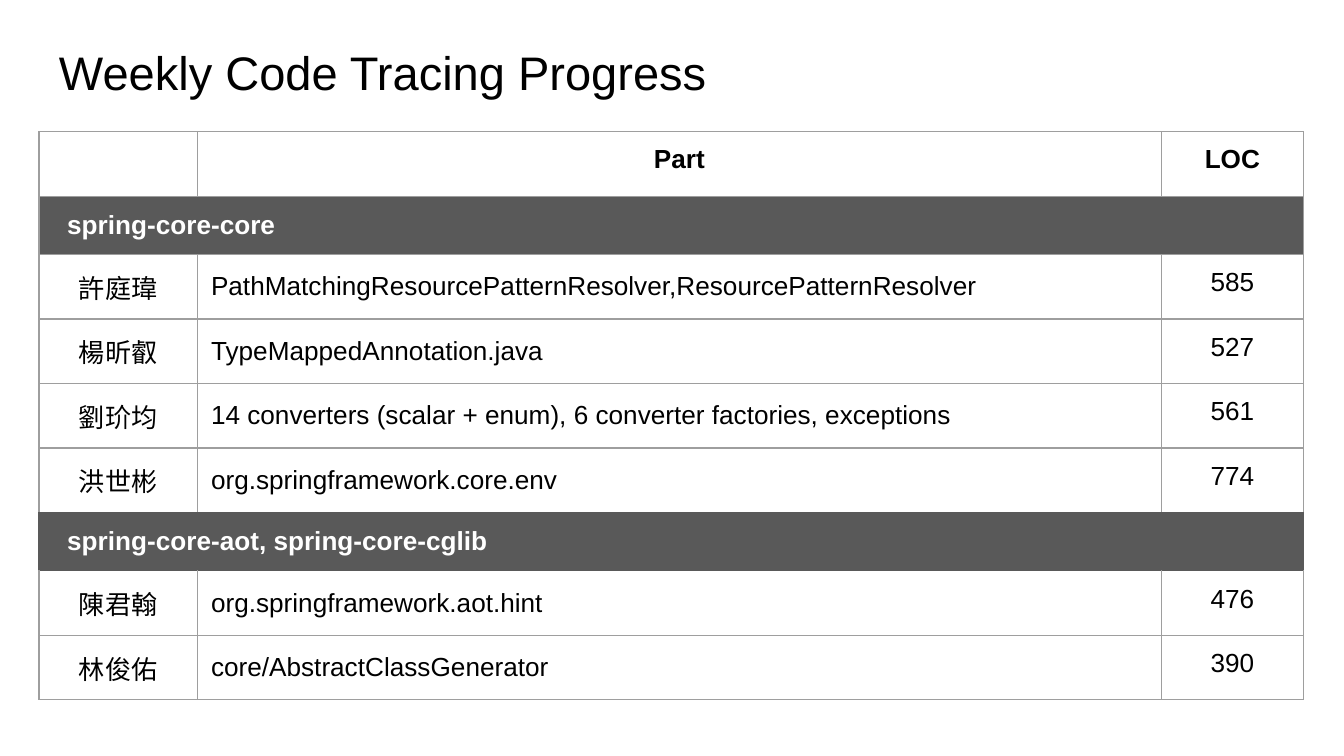
from lxml import etree
from pptx import Presentation
from pptx.dml.color import RGBColor
from pptx.enum import text
from pptx.oxml.ns import qn
from pptx.util import Inches, Pt

GRAY, DARK, BLACK, WHITE = "9E9E9E", "595959", "000000", "FFFFFF"
COLUMNS = (1.18, 7.17, 1.06)
ROW_HEIGHT, SECTION_HEIGHT = 0.48, 0.42
HEADER = ("", "Part", "LOC")
SECTIONS = (
    ("spring-core-core", GRAY, (
        ("許庭瑋", "PathMatchingResourcePatternResolver,ResourcePatternResolver", "585"),
        ("楊昕叡", "TypeMappedAnnotation.java", "527"),
        ("劉玠均", "14 converters (scalar + enum), 6 converter factories, exceptions", "561"),
        ("洪世彬", "org.springframework.core.env", "774"),
    )),
    ("spring-core-aot, spring-core-cglib", DARK, (
        ("陳君翰", "org.springframework.aot.hint", "476"),
        ("林俊佑", "core/AbstractClassGenerator", "390"),
    )),
)


def rgb(color):
    return RGBColor.from_string(color)


def set_text(tf, value, size, color=BLACK, bold=False, align=text.PP_ALIGN.LEFT):
    p = tf.paragraphs[0]
    p.text = value
    p.alignment = align
    for r in p.runs:
        r.font.name = "Arial"
        r.font.size = Pt(size)
        r.font.bold = bold
        r.font.color.rgb = rgb(color)
    if not value:
        end = etree.SubElement(p._p, qn("a:endParaRPr"), sz=str(size * 100))
        etree.SubElement(end, qn("a:latin"), typeface="Arial")


def set_borders(cell, top, bottom, side):
    tc_pr = cell._tc.get_or_add_tcPr()
    for tag, color in (("a:lnL", side), ("a:lnR", side), ("a:lnT", top), ("a:lnB", bottom)):
        ln = etree.SubElement(tc_pr, qn(tag), w=str(Pt(0.75)))
        fill = etree.SubElement(ln, qn("a:solidFill"))
        etree.SubElement(fill, qn("a:srgbClr"), val=color)


def style_cell(cell, borders, fill=None):
    cell.margin_left = cell.margin_right = Inches(0.1)
    cell.margin_top = cell.margin_bottom = Inches(0.1)
    set_borders(cell, *borders)
    if fill:
        cell.fill.solid()
        cell.fill.fore_color.rgb = rgb(fill)
    else:
        cell.fill.background()


def add_title(slide, left, top, width, height):
    sp = slide.shapes.add_textbox(Inches(left), Inches(top), Inches(width), Inches(height))
    tf = sp.text_frame
    tf.word_wrap = True
    tf.margin_left = tf.margin_right = tf.margin_top = tf.margin_bottom = Inches(0.1)
    set_text(tf, "Weekly Code Tracing Progress", 25.2)


def fill_section(cells, title, border):
    cells[0].merge(cells[-1])
    for cell, value in zip(cells, (title, "", "")):
        style_cell(cell, (border, border, border), DARK)
        set_text(cell.text_frame, value, 14, WHITE, True)
    cells[0].margin_left = Inches(0.21)
    cells[0].vertical_anchor = text.MSO_ANCHOR.MIDDLE


def fill_row(cells, values, top, bottom, header=False):
    for col, (cell, value) in enumerate(zip(cells, values)):
        style_cell(cell, (top, bottom, GRAY))
        left_aligned = col == 1 and not header
        if left_aligned:
            cell.vertical_anchor = text.MSO_ANCHOR.MIDDLE
        align = text.PP_ALIGN.LEFT if left_aligned else text.PP_ALIGN.CENTER
        set_text(cell.text_frame, value, 14, bold=header, align=align)


def add_progress_table(slide, left, top):
    rows = [("header", HEADER, GRAY)]
    for title, border, members in SECTIONS:
        rows.append(("section", title, border))
        rows += [("member", member, GRAY) for member in members]
    heights = [SECTION_HEIGHT if kind == "section" else ROW_HEIGHT for kind, _, _ in rows]
    table = slide.shapes.add_table(
        len(rows), len(COLUMNS), Inches(left), Inches(top),
        Inches(sum(COLUMNS)), Inches(sum(heights))).table
    table.first_row = table.horz_banding = False
    for column, width in zip(table.columns, COLUMNS):
        column.width = Inches(width)
    edges = [GRAY] + [border for _, _, border in rows] + [GRAY]
    for i, (kind, content, border) in enumerate(rows):
        table.rows[i].height = Inches(heights[i])
        cells = list(table.rows[i].cells)
        if kind == "section":
            fill_section(cells, content, border)
        else:
            fill_row(cells, content, edges[i], edges[i + 2], kind == "header")


def main():
    prs = Presentation()
    prs.slide_width = Inches(10)
    prs.slide_height = prs.slide_width * 9 // 16
    slide = prs.slides.add_slide(prs.slide_layouts[6])
    add_title(slide, 0.34, 0.22, 9.32, 0.63)
    add_progress_table(slide, 0.29, 0.98)
    prs.save("out.pptx")


if __name__ == "__main__":
    main()
